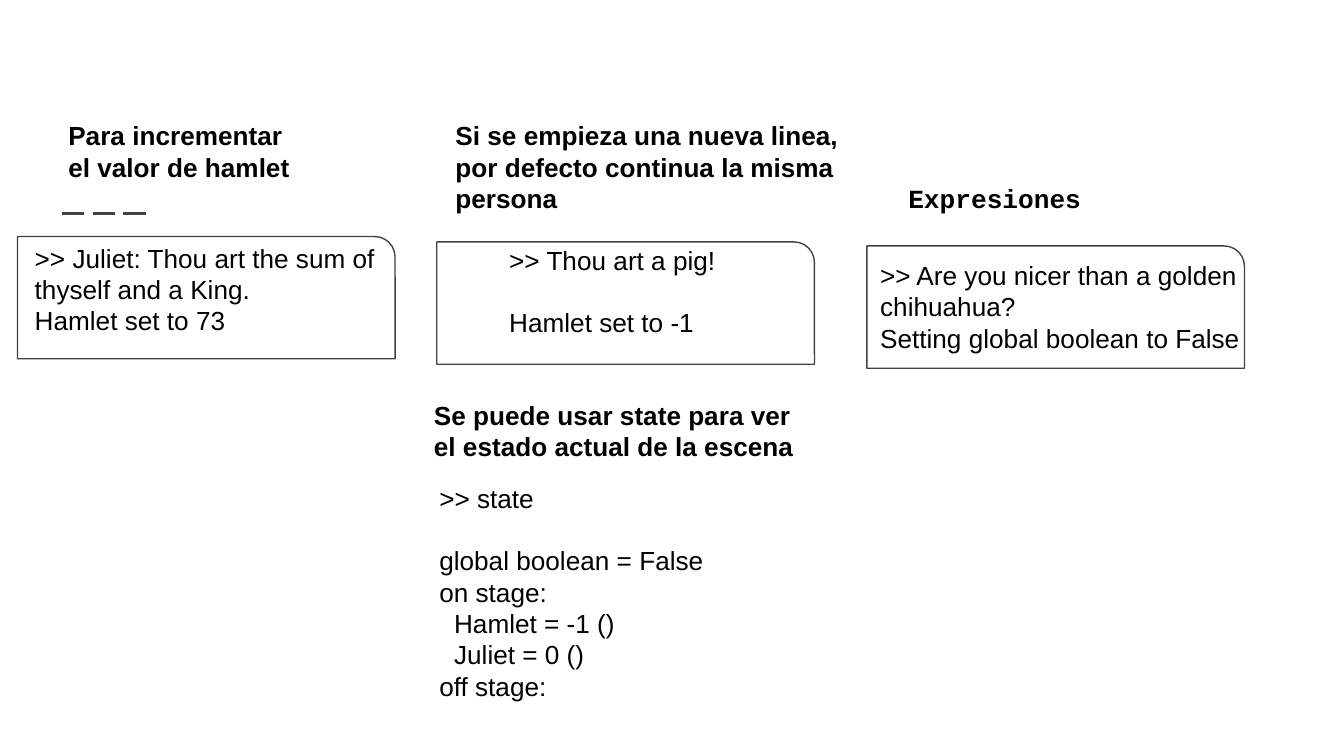
import pptx
import pptx.util
import pptx.dml.color
import pptx.enum.dml
import pptx.enum.shapes
import pptx.enum.text
import pptx.oxml.ns
from pptx.util import Inches
from lxml import etree

BLACK = pptx.dml.color.RGBColor(0x00, 0x00, 0x00)
WHITE = pptx.dml.color.RGBColor(0xFF, 0xFF, 0xFF)
GRAY = pptx.dml.color.RGBColor(0x42, 0x42, 0x42)
LINE_GAP = pptx.util.Pt(16.5)

# Widescreen 16:9 slide
presentation = pptx.Presentation()
presentation.slide_width = Inches(10)
presentation.slide_height = Inches(10 * 9 / 16)
slide = presentation.slides.add_slide(presentation.slide_layouts[6])


def add_text(left, top, width, height, lines, bold=False, font="Arial"):
    shape = slide.shapes.add_textbox(
        Inches(left), Inches(top), Inches(width), Inches(height))
    text_frame = shape.text_frame
    text_frame.word_wrap = True
    text_frame.auto_size = pptx.enum.text.MSO_AUTO_SIZE.SHAPE_TO_FIT_TEXT
    text_frame.margin_left = text_frame.margin_right = Inches(0.1)
    text_frame.margin_top = text_frame.margin_bottom = Inches(0.1)
    text_frame.text = "\n".join(lines)
    for paragraph in text_frame.paragraphs:
        for run in paragraph.runs:
            run.font.name = font
            run.font.size = pptx.util.Pt(14)
            run.font.bold = bold
            run.font.color.rgb = BLACK
    return text_frame.paragraphs


# Dashed accent line
accent = slide.shapes.add_connector(
    pptx.enum.shapes.MSO_CONNECTOR.STRAIGHT,
    Inches(0.46), Inches(1.59), Inches(1.13), Inches(1.59))
accent.line.color.rgb = GRAY
accent.line.width = pptx.util.Pt(1.5)
accent.line.dash_style = pptx.enum.dml.MSO_LINE.LONG_DASH
etree.SubElement(accent._element.spPr, pptx.oxml.ns.qn("a:effectLst"))

# Frames behind the code samples
for left, top in [(6.45, 1.83), (3.25, 1.8), (0.13, 1.76)]:
    frame = slide.shapes.add_shape(
        pptx.enum.shapes.MSO_SHAPE.ROUND_1_RECTANGLE,
        Inches(left), Inches(top), Inches(2.81), Inches(0.91))
    frame.shadow.inherit = False
    frame.fill.solid()
    frame.fill.fore_color.rgb = WHITE
    frame.line.color.rgb = GRAY
    frame.line.width = pptx.util.Pt(0.75)

# Code samples
state_lines = add_text(3.17, 3.49, 3.28, 2.09,
                       [">> state", "global boolean = False", "on stage:",
                        "Hamlet = -1 ()", "Juliet = 0 ()", "off stage:"])
pig_lines = add_text(3.69, 1.72, 3.28, 1.14,
                     [">> Thou art a pig!", "Hamlet set to -1"])
add_text(0.16, 1.7, 3.28, 0.91,
         [">> Juliet: Thou art the sum of thyself and a King.",
          "Hamlet set to 73"])
add_text(6.45, 1.83, 3.28, 0.91,
         [">> Are you nicer than a golden chihuahua?",
          "Setting global boolean to False"])

# One-line gap before each reply, and indented characters on stage
for paragraph in (pig_lines[1], state_lines[1]):
    paragraph.space_before = LINE_GAP
for paragraph in state_lines[3:5]:
    properties = paragraph._p.get_or_add_pPr()
    properties.set("marL", str(Inches(0.11)))
    properties.set("indent", "0")

# Headings
add_text(0.41, 0.79, 3.28, 0.67,
         ["Para incrementar", "el valor de hamlet"], bold=True)
add_text(3.29, 0.79, 3.05, 0.91,
         ["Si se empieza una nueva linea,",
          "por defecto continua la misma persona"], bold=True)
add_text(3.13, 2.87, 3.05, 0.67,
         ["Se puede usar state para ver el estado actual de la escena"],
         bold=True)
add_text(6.66, 1.26, 2.61, 0.44, ["Expresiones"], bold=True,
         font="Courier New")

presentation.save("out.pptx")
